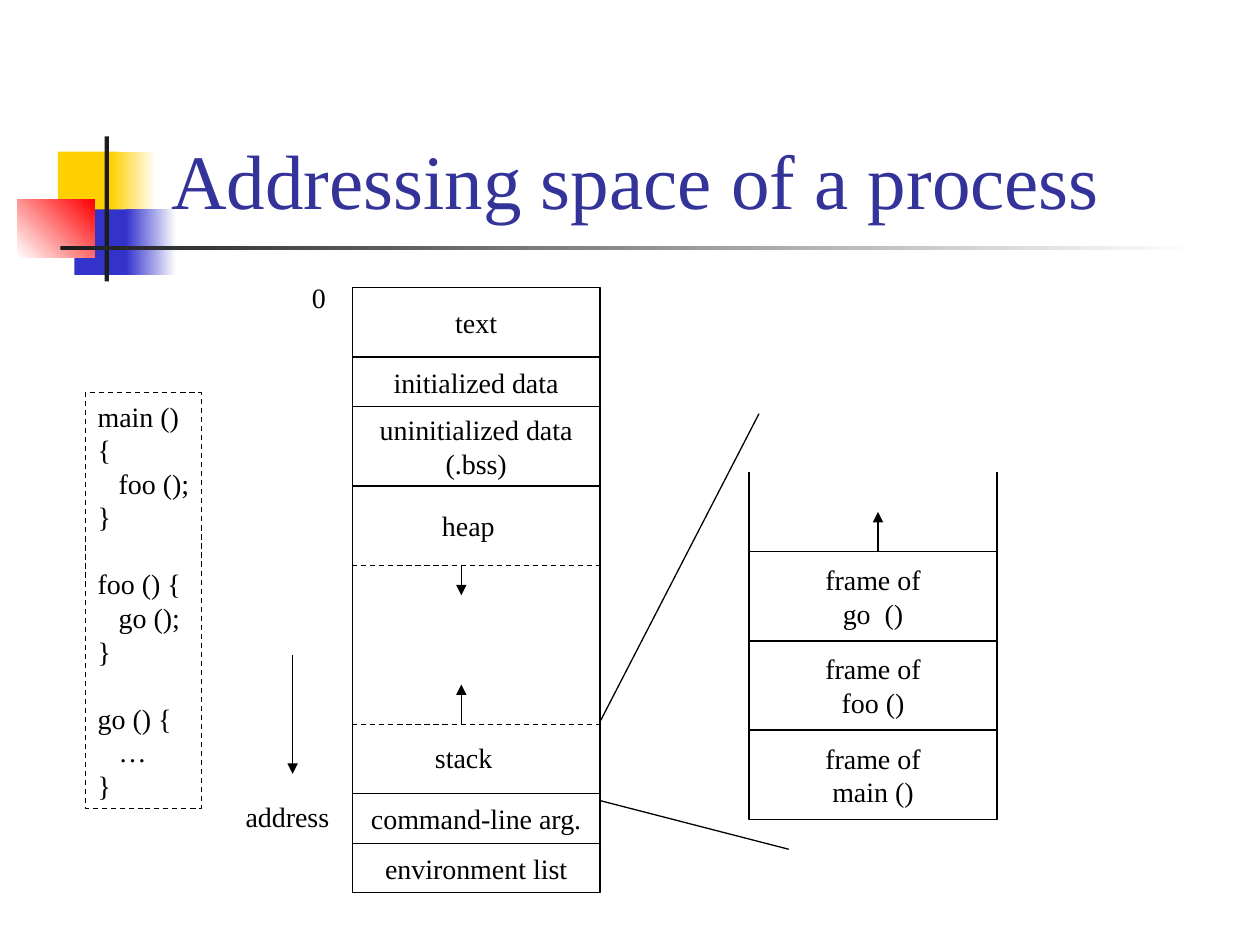
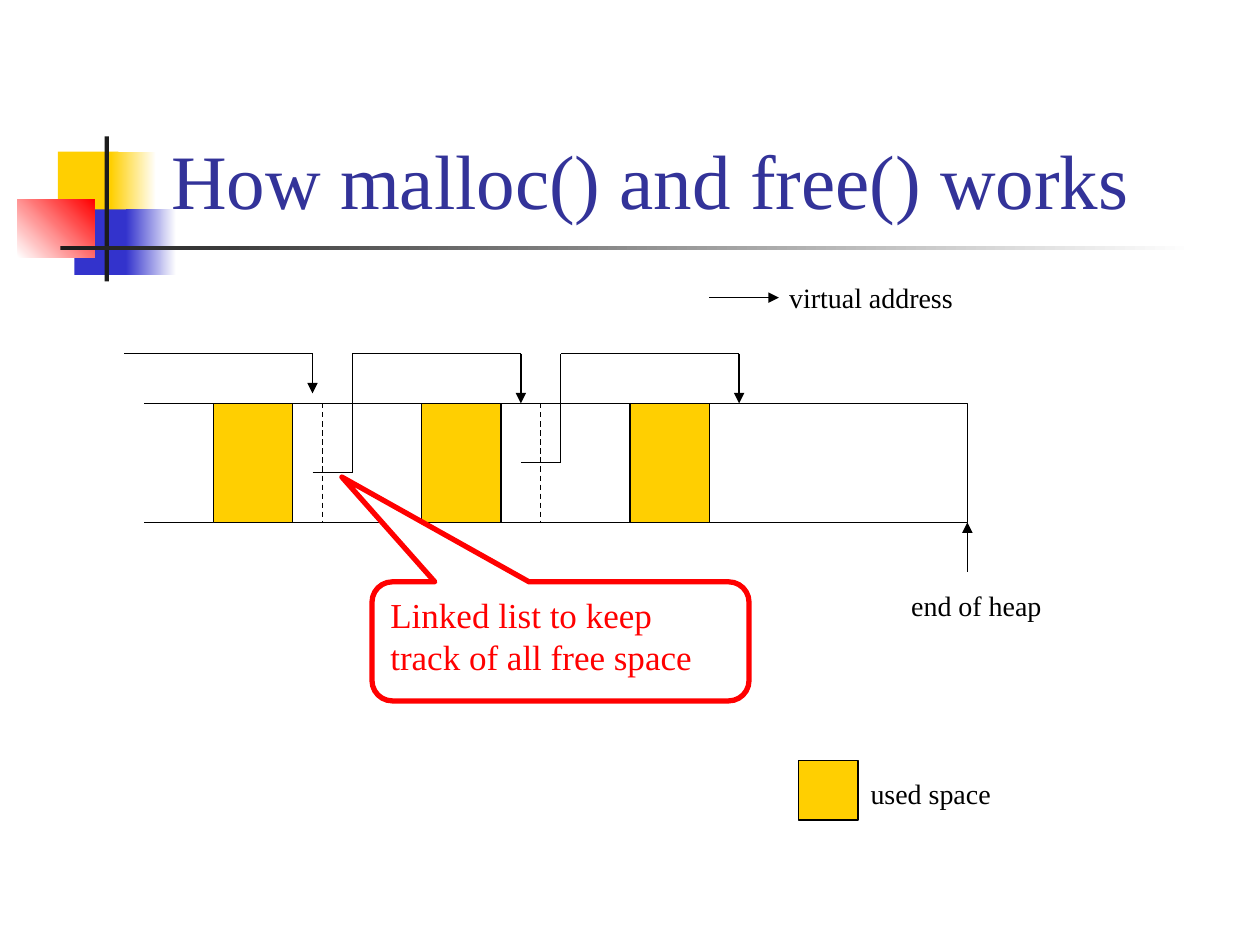
from dataclasses import dataclass
from itertools import accumulate, pairwise

from lxml import etree
from pptx import Presentation
from pptx.dml.color import RGBColor
from pptx.enum.dml import MSO_LINE
from pptx.enum.shapes import MSO_CONNECTOR, MSO_SHAPE
from pptx.enum.text import MSO_ANCHOR, MSO_AUTO_SIZE, PP_ALIGN
from pptx.oxml.ns import qn
from pptx.util import Inches, Mm, Pt

RECT = MSO_SHAPE.RECTANGLE
CALLOUT = MSO_SHAPE.ROUNDED_RECTANGULAR_CALLOUT
STRAIGHT = MSO_CONNECTOR.STRAIGHT
DASH = MSO_LINE.DASH
TOP, MIDDLE, BOTTOM = MSO_ANCHOR.TOP, MSO_ANCHOR.MIDDLE, MSO_ANCHOR.BOTTOM
LEFT, CENTER = PP_ALIGN.LEFT, PP_ALIGN.CENTER
FIT_SHAPE, NO_FIT = MSO_AUTO_SIZE.SHAPE_TO_FIT_TEXT, MSO_AUTO_SIZE.NONE

COLORS = {
    "title": "333399",
    "ink": "000000",
    "bar": "1C1C1C",
    "yellow": "FFCF01",
    "blue": "3333CC",
    "red": "FF0000",
    "white": "FFFFFF",
}
FONT = "Times New Roman"
CELL = Mm(2)
LABEL_HEIGHT = 4.7
CODE_LINE = Pt(19.2)


def rgb(name):
    return RGBColor.from_string(COLORS[name])


@dataclass
class Region:
    slide: object
    col: float
    row: float

    def at(self, col, row):
        return round((self.col + col) * CELL), round((self.row + row) * CELL)

    def shape(self, col, row, cols, rows, kind=RECT, fill=None, line="ink",
              weight=0.75, dash=None, angle=0):
        shape = self.slide.shapes.add_shape(
            kind, *self.at(col, row), round(cols * CELL), round(rows * CELL))
        shape.shadow.inherit = False
        if fill is None:
            shape.fill.background()
        elif isinstance(fill, tuple):
            shape.fill.gradient()
            shape.fill.gradient_angle = angle
            for stop, name in zip(shape.fill.gradient_stops, fill):
                stop.color.rgb = rgb(name)
        else:
            shape.fill.solid()
            shape.fill.fore_color.rgb = rgb(fill)
        if line is None:
            shape.line.fill.background()
        else:
            style_line(shape.line, line, weight, dash)
        return shape

    def line(self, start, end, arrow=False, dash=None):
        connector = self.slide.shapes.add_connector(
            STRAIGHT, *self.at(*start), *self.at(*end))
        style_line(connector.line, "ink", 0.75, dash)
        properties = connector.element.spPr
        if arrow:
            outline = properties.find(qn("a:ln"))
            etree.SubElement(outline, qn("a:tailEnd"), type="triangle")
        etree.SubElement(properties, qn("a:effectLst"))

    def label(self, col, row, cols, text, rows=LABEL_HEIGHT, **fmt):
        box = self.slide.shapes.add_textbox(
            *self.at(col, row), round(cols * CELL), round(rows * CELL))
        write(box, text, **{"fit": FIT_SHAPE, "wrap": True, **fmt})


def style_line(outline, color, weight, dash):
    outline.color.rgb = rgb(color)
    outline.width = Pt(weight)
    if dash:
        outline.dash_style = dash


def write(shape, text, size=16, color="ink", align=LEFT, anchor=TOP,
          wrap=False, fit=NO_FIT):
    frame = shape.text_frame
    frame.word_wrap = wrap
    frame.auto_size = fit
    frame.vertical_anchor = anchor
    frame.margin_left = frame.margin_right = Inches(0.1)
    frame.margin_top = frame.margin_bottom = Inches(0.05)
    gap = None
    for index, content in enumerate(text.split("\n")):
        if not content:
            gap = CODE_LINE
            continue
        paragraph = frame.add_paragraph() if index else frame.paragraphs[0]
        paragraph.alignment = align
        if gap:
            paragraph.space_before = gap
            gap = None
        run = paragraph.add_run()
        run.text = content
        run.font.name = FONT
        run.font.size = Pt(size)
        run.font.color.rgb = rgb(color)


def segment(region, row, cols, rows, text):
    write(region.shape(0, row, cols, rows), text, align=CENTER, anchor=MIDDLE)


def draw_header(slide, title):
    emblem = Region(slide, 1.78, 13.76)
    for col, row, cols, rows, fill, angle in (
        (4.06, 1.52, 6.1, 6.6, "yellow", 0),
        (9.4, 1.52, 4.57, 6.6, ("yellow", "white"), 0),
        (5.71, 7.36, 5.84, 6.6, "blue", 0),
        (10.92, 7.36, 5.08, 6.6, ("blue", "white"), 0),
        (0, 6.35, 7.75, 5.84, ("white", "red"), 45),
        (8.76, 0, 0.44, 14.6, "bar", 0),
        (4.32, 11, 114.3, 0.44, ("bar", "white"), 0),
    ):
        emblem.shape(col, row, cols, rows, fill=fill, line=None, angle=angle)
    Region(slide, 16, 3).label(
        0, 0, 108.2, title, rows=20.3, size=44, color="title", anchor=BOTTOM,
        fit=NO_FIT)


def draw_code(region):
    code = ("main ()\n{\n   foo ();\n}\n\n"
            "foo () {\n   go ();\n}\n\n"
            "go () {\n   …\n}")
    write(region.shape(0, 0, 11.7, 41.9, dash=DASH), code)


def draw_memory(region):
    width, heap_end, stack_start, growth = 25, 28, 44, 11
    segments = (("text", 7), ("initialized data", 5),
                ("uninitialized data\n(.bss)", 8), ("", 31),
                ("command-line arg.", 5), ("environment list", 5))
    starts = accumulate((rows for _, rows in segments), initial=0)
    for (text, rows), row in zip(segments, starts):
        segment(region, row, width, rows, text)
    for row in (heap_end, stack_start):
        region.line((0, row), (width, row), dash=DASH)
    region.line((growth, heap_end), (growth, heap_end + 3), arrow=True)
    region.line((growth, stack_start), (growth, stack_start - 4), arrow=True)
    region.line((-6, 37), (-6, 49), arrow=True)
    for col, row, cols, text in ((7.8, 21.6, 9, "heap"),
                                 (7.1, 45, 9.5, "stack"),
                                 (-5.3, -1.3, 4.5, "0"),
                                 (-12, 51, 12, "address")):
        region.label(col, row, cols, text)
    region.line((width, 43.7), (41, 12.7))
    region.line((width, 51.7), (44, 56.6))


def draw_stack_frames(region):
    width, rows, wall = 25, 9, 8
    for index, function in enumerate(("go  ()", "foo ()", "main ()")):
        segment(region, wall + index * rows, width, rows,
                f"frame of\n{function}")
    for col in (0, width):
        region.line((col, wall), (col, 0))
    region.line((13, wall), (13, 4), arrow=True)


def draw_heap(region):
    height, used, free, tail = 12, 8, 13, 26
    for index, gap in enumerate((free, free, tail)):
        start = index * (used + free)
        region.shape(start, 0, used, height, fill="yellow")
        region.shape(start + used, 0, gap, height)
    for row in (0, height):
        region.line((0, row), (-7, row))
    for col in (11, 33):
        region.line((col, 0), (col, height), dash=DASH)
    end = 2 * (used + free) + used + tail
    region.line((end, height + 5), (end, height), arrow=True)
    region.label(69.1, 18, 18, "end of heap")


def draw_free_list(region):
    rail = -5
    for route in (
        ((-9, rail), (10, rail), (10, -1)),
        ((10, 7), (14, 7), (14, rail), (31, rail), (31, 0)),
        ((31, 6), (35, 6), (35, rail), (53, rail), (53, 0)),
    ):
        for start, end in pairwise(route):
            region.line(start, end, arrow=end == route[-1])
    note = region.shape(16, 18, 38, 12, CALLOUT, fill="white", line="red",
                        weight=3)
    for index, value in enumerate((-0.58, -1.38, 0.17)):
        note.adjustments[index] = value
    write(note, "Linked list to keep track of all free space", size=20,
          color="red", wrap=True)


def draw_heap_key(region):
    region.line((50, -10.65), (57, -10.65), arrow=True)
    region.label(56.8, -13, 21, "virtual address")
    region.shape(59, 36, 6, 6, fill="yellow")
    region.label(65, 37, 17, "used space")


def build_address_space(slide):
    draw_header(slide, "Addressing space of a process")
    draw_memory(Region(slide, 35.5, 29))
    draw_code(Region(slide, 8.6, 39.6))
    draw_stack_frames(Region(slide, 75.5, 47.6))


def build_malloc(slide):
    draw_header(slide, "How malloc() and free() works")
    strip = Region(slide, 21.5, 40.65)
    draw_heap(strip)
    draw_free_list(strip)
    draw_heap_key(strip)


def main():
    deck = Presentation()
    deck.slide_width, deck.slide_height = Inches(10), Inches(7.5)
    blank = deck.slide_layouts[6]
    for build in (build_address_space, build_malloc):
        build(deck.slides.add_slide(blank))
    deck.save("out.pptx")


if __name__ == "__main__":
    main()
